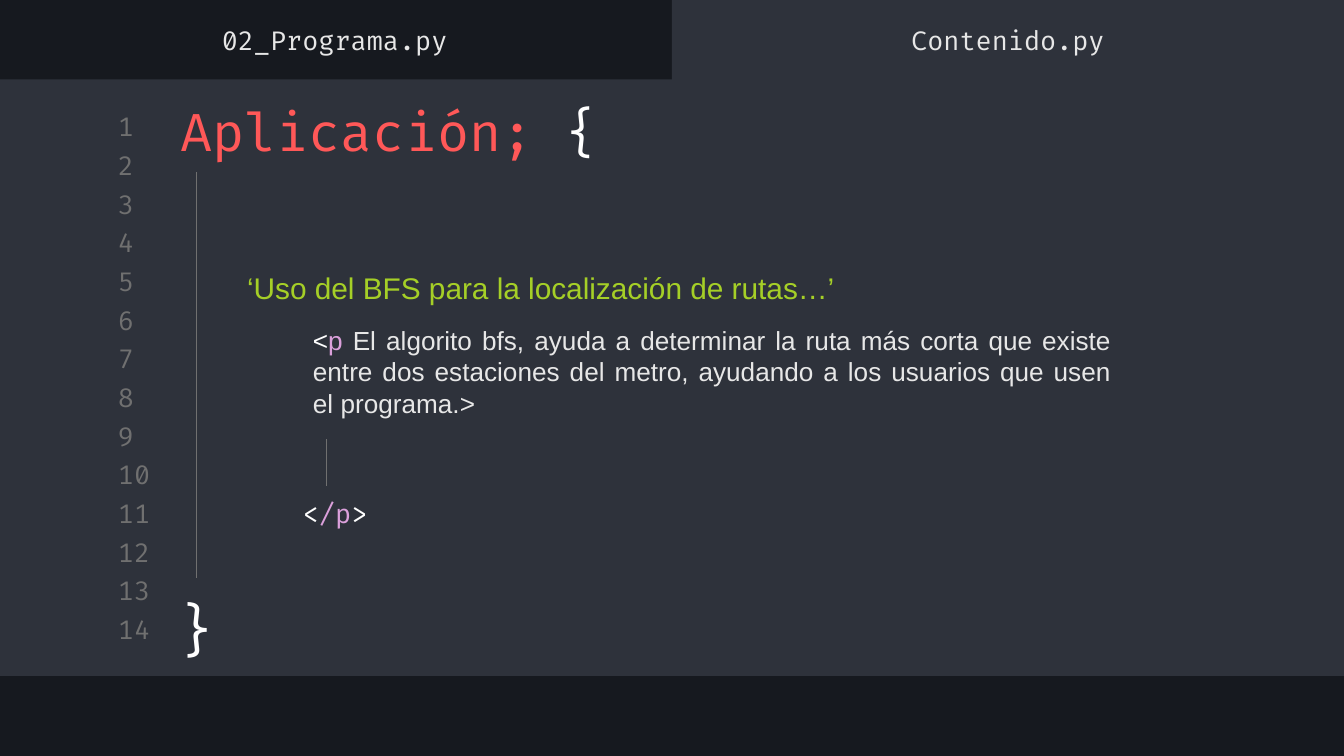
from pptx import Presentation
from pptx.dml.color import RGBColor
from pptx.enum.shapes import MSO_CONNECTOR, MSO_SHAPE
from pptx.enum.text import MSO_ANCHOR, MSO_AUTO_SIZE, PP_ALIGN
from pptx.oxml.ns import qn
from pptx.util import Inches, Pt
from lxml import etree

LEFT, CENTER, JUSTIFY = PP_ALIGN.LEFT, PP_ALIGN.CENTER, PP_ALIGN.JUSTIFY
TOP, MIDDLE = MSO_ANCHOR.TOP, MSO_ANCHOR.MIDDLE
NO_AUTOFIT = MSO_AUTO_SIZE.NONE
RECTANGLE = MSO_SHAPE.RECTANGLE
STRAIGHT = MSO_CONNECTOR.STRAIGHT

DARK = RGBColor(0x16, 0x19, 0x1F)
PANEL = RGBColor(0x2E, 0x32, 0x3B)
GRAY = RGBColor(0x70, 0x70, 0x70)
LIGHT = RGBColor(0xE7, 0xE7, 0xE7)
WHITE = RGBColor(0xFF, 0xFF, 0xFF)
RED = RGBColor(0xFF, 0x58, 0x58)
GREEN = RGBColor(0xA5, 0xCF, 0x27)
PURPLE = RGBColor(0xDB, 0xA0, 0xDB)
CODE_FONT, TEXT_FONT = "Fira Code", "Arial"

WIDTH = 10
HEIGHT = WIDTH * 9 / 16
HALF = WIDTH / 2
INSET = 0.1
TAB_TOP, TAB_HEIGHT = 0.1, 0.39
LINE_COUNT, FIRST_LINE, LAST_LINE = 14, 0.82, 4.56
LINE_PITCH = (LAST_LINE - FIRST_LINE) / (LINE_COUNT - 1)

TITLE = [("Aplicación; ", RED), ("{", WHITE)]
ACTIVE_TAB = [("Contenido.py", LIGHT)]
OTHER_TAB = [("02_Programa.py", LIGHT)]
HEADING = [("‘Uso del BFS para la localización de rutas…’", GREEN)]
DESCRIPTION = [
    ("<", WHITE),
    ("p", PURPLE),
    (" El algorito bfs, ayuda a determinar la ruta más corta que existe "
     "entre dos estaciones del metro, ayudando a los usuarios que usen "
     "el programa.>", LIGHT),
]
CLOSING_TAG = [("<", WHITE), ("/p", PURPLE), (">", WHITE)]
CLOSING_BRACE = [("}", WHITE)]

PANELS = [(0, 0.59, WIDTH, 4.44), (HALF, 0, HALF, 0.65)]
GUIDES = [(1.46, 1.28, 4.3), (2.43, 3.27, 3.62)]


def write(paragraph, runs, size, font=CODE_FONT, align=LEFT, before=0):
    paragraph.alignment = align
    paragraph.space_before = Pt(before)
    for text, color in runs:
        run = paragraph.add_run()
        run.text = text
        run.font.size = Pt(size)
        run.font.name = font
        run.font.color.rgb = color


def prepare(shape, box, anchor=MIDDLE):
    shape.left, shape.top, shape.width, shape.height = map(Inches, box)
    frame = shape.text_frame
    frame.word_wrap = True
    frame.auto_size = NO_AUTOFIT
    frame.vertical_anchor = anchor
    frame.margin_left = frame.margin_right = Inches(INSET)
    frame.margin_top = frame.margin_bottom = Inches(INSET)
    return frame


def add_text(slide, box, runs, size, align=LEFT, anchor=MIDDLE):
    frame = prepare(slide.shapes.add_textbox(0, 0, 0, 0), box, anchor)
    write(frame.paragraphs[0], runs, size, align=align)


def add_panel(slide, box):
    panel = slide.shapes.add_shape(RECTANGLE, *map(Inches, box))
    panel.shadow.inherit = False
    panel.fill.solid()
    panel.fill.fore_color.rgb = PANEL
    panel.line.fill.background()


def add_guide(slide, x, top, bottom):
    guide = slide.shapes.add_connector(STRAIGHT, *map(Inches, (x, top, x, bottom)))
    guide.line.color.rgb = GRAY
    guide.line.width = Pt(0.75)
    etree.SubElement(guide._element.spPr, qn("a:effectLst"))


def main():
    presentation = Presentation()
    presentation.slide_width = Inches(WIDTH)
    presentation.slide_height = Inches(HEIGHT)
    slide = presentation.slides.add_slide(presentation.slide_layouts[0])
    slide.background.fill.solid()
    slide.background.fill.fore_color.rgb = DARK

    title, subtitle = slide.placeholders
    for box in PANELS:
        add_panel(slide, box)
    for index in range(LINE_COUNT):
        box = (0.78, FIRST_LINE + index * LINE_PITCH, 0.47, 0.24)
        add_text(slide, box, [(str(index + 1), GRAY)], 14)
    for placeholder in (subtitle, title):
        slide.shapes._spTree.append(placeholder._element)

    frame = prepare(title, (1.24, 0.68, 4.42, 0.58))
    write(frame.paragraphs[0], TITLE, 28)
    frame = prepare(subtitle, (HALF, TAB_TOP, HALF, TAB_HEIGHT))
    write(frame.paragraphs[0], ACTIVE_TAB, 14, align=CENTER)

    frame = prepare(slide.shapes.add_textbox(0, 0, 0, 0), (1.74, 1.65, 6.63, 1.82))
    write(frame.paragraphs[0], HEADING, 16, TEXT_FONT)
    paragraph = frame.add_paragraph()
    write(paragraph, DESCRIPTION, 14, TEXT_FONT, JUSTIFY, 10)
    paragraph._p.get_or_add_pPr().set("marL", str(Inches(0.49)))

    add_text(slide, (1.19, 4.32, 0.55, 0.71), CLOSING_BRACE, 30, CENTER, TOP)
    for x, top, bottom in GUIDES:
        add_guide(slide, x, top, bottom)
    add_text(slide, (2.13, 3.6, 0.73, 0.26), CLOSING_TAG, 14, CENTER, TOP)
    add_text(slide, (-0.01, TAB_TOP, HALF, TAB_HEIGHT), OTHER_TAB, 14, CENTER)

    presentation.save("out.pptx")


if __name__ == "__main__":
    main()
